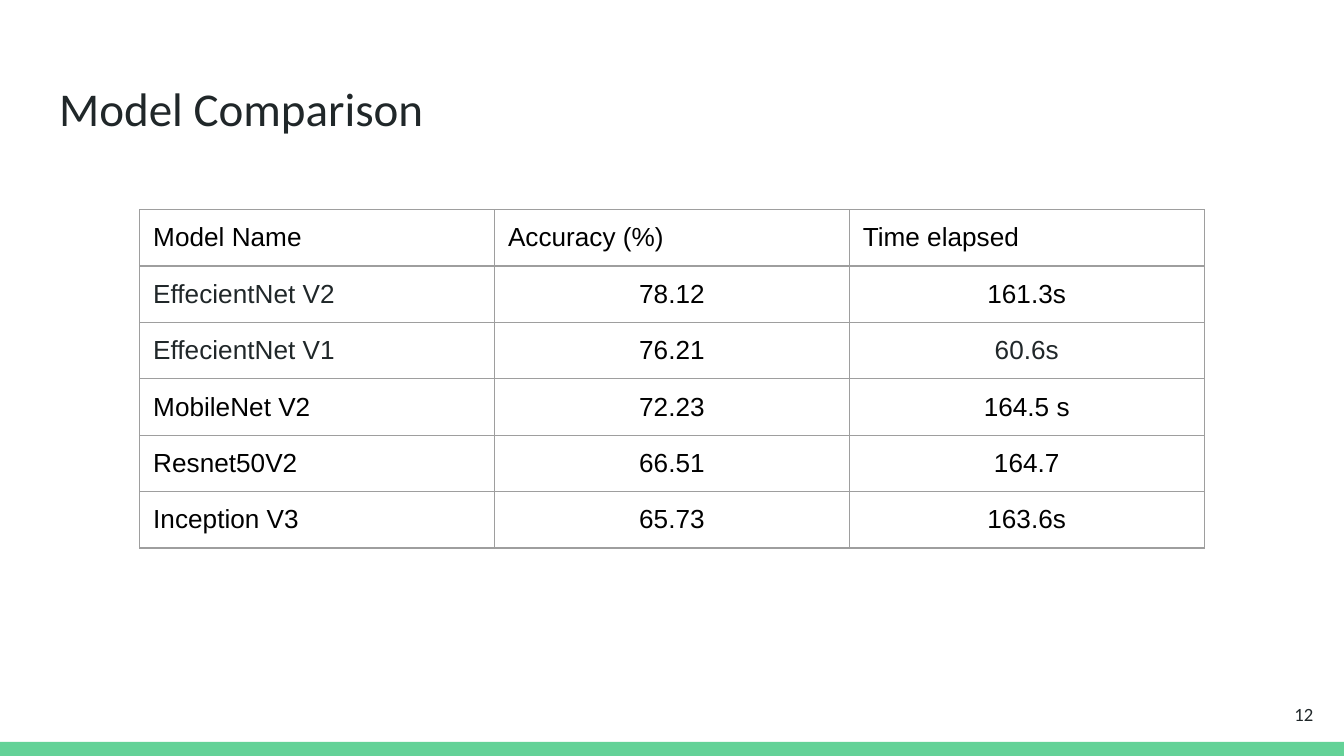
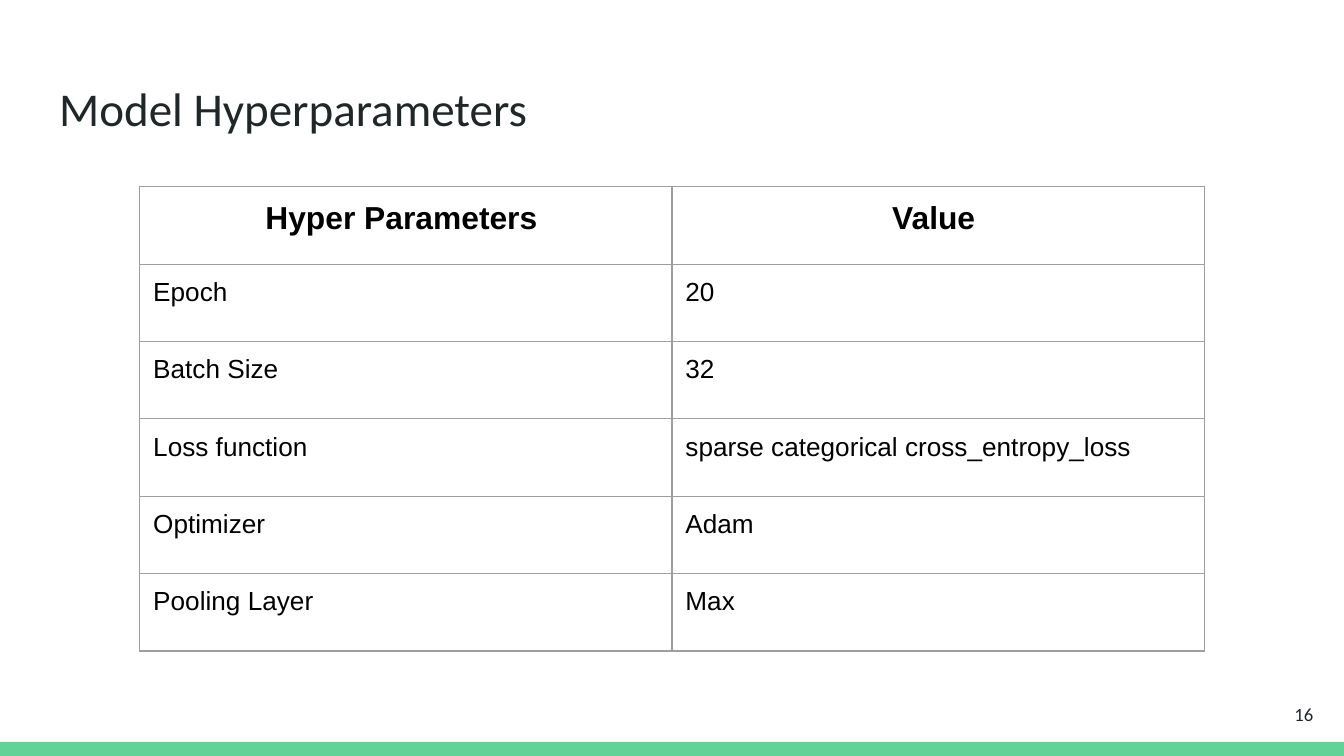
from dataclasses import dataclass

from lxml.etree import SubElement
from pptx import Presentation
from pptx.dml.color import RGBColor as Rgb
from pptx.enum.shapes import MSO_SHAPE as Shape
from pptx.enum.text import MSO_ANCHOR as Anchor, MSO_AUTO_SIZE as Fit, PP_ALIGN as Align
from pptx.oxml.ns import qn
from pptx.util import Inches, Pt


@dataclass(frozen=True)
class Theme:
    ink: str = "202729"
    black: str = "000000"
    green: str = "63D297"
    rule: str = "9E9E9E"
    paper: str = "FFFFFF"
    head: str = "Calibri"
    body: str = "Arial"
    title: float = 25.2
    label: float = 17
    cell: float = 14
    page: float = 10
    line: float = 0.75
    pad: float = 0.1


@dataclass(frozen=True)
class Look:
    size: float = 14
    color: str = Theme.black
    bold: bool = False
    align: Align = Align.LEFT


THEME = Theme()
WIDE, HIGH = Inches(10), Inches(5.625)

# Boxes are left, top, width, height in percent of the slide.
BAND = (0, 98.13, 100, 1.87)
TITLE = (3.4, 8.71, 93.2, 11.2)
PAGE = (92.7, 90.67, 6, 7.64)
SCORES = (10.4, 27.73, 79.2, 44.8)
SETTINGS = (10.4, 24.71, 79.2, 61.4)

MODELS = [
    ("Model Name", "Accuracy (%)", "Time elapsed"),
    ("EffecientNet V2", "78.12", "161.3s"),
    ("EffecientNet V1", "76.21", "60.6s"),
    ("MobileNet V2", "72.23", "164.5 s"),
    ("Resnet50V2", "66.51", "164.7"),
    ("Inception V3", "65.73", "163.6s"),
]
SOFT = {(1, 0), (2, 0), (2, 2)}  # cells set in the softer ink

PARAMS = [
    ("Hyper Parameters ", "Value "),
    ("Epoch", "20"),
    ("Batch Size", "32"),
    ("Loss function", "sparse categorical cross_entropy_loss"),
    ("Optimizer", "Adam"),
    ("Pooling Layer", "Max"),
]


def area(box):
    """Turn a percent box into slide lengths."""
    x, y, w, h = box
    return [int(part * full / 100)
            for part, full in ((x, WIDE), (y, HIGH), (w, WIDE), (h, HIGH))]


def style(para, face, size, color, bold=False, align=Align.LEFT):
    para.alignment = align
    for run in para.runs:
        font = run.font
        font.name, font.size, font.bold = face, Pt(size), bold
        font.color.rgb = Rgb.from_string(color)


def pad(item):
    """Give a text frame or a cell equal margins."""
    item.margin_left = item.margin_right = Inches(THEME.pad)
    item.margin_top = item.margin_bottom = Inches(THEME.pad)


def write(frame, text, size, align, anchor):
    frame.text = text
    frame.word_wrap = True
    frame.auto_size = Fit.NONE
    frame.vertical_anchor = anchor
    pad(frame)
    style(frame.paragraphs[0], THEME.head, size, THEME.ink, align=align)


def add_band(slide, box):
    band = slide.shapes.add_shape(Shape.RECTANGLE, *area(box))
    band.shadow.inherit = False
    band.fill.solid()
    band.fill.fore_color.rgb = Rgb.from_string(THEME.green)
    band.line.fill.background()


def add_title(slide, box, text):
    title = slide.shapes.title
    title.left, title.top, title.width, title.height = area(box)
    write(title.text_frame, text, THEME.title, Align.LEFT, Anchor.TOP)


def add_page(slide, box, number):
    note = slide.shapes.add_textbox(*area(box))
    write(note.text_frame, str(number), THEME.page, Align.RIGHT, Anchor.MIDDLE)


def rule(cell):
    """Draw the four borders, which must come before the cell's fill."""
    props = cell._tc.get_or_add_tcPr()
    for side in ("a:lnL", "a:lnR", "a:lnT", "a:lnB"):
        line = SubElement(props, qn(side), w=str(Pt(THEME.line)))
        fill = SubElement(line, qn("a:solidFill"))
        SubElement(fill, qn("a:srgbClr"), val=THEME.rule)


def add_grid(slide, box, rows, look):
    """Add a ruled table of equal cells; look(row, col) gives each one's text style."""
    x, y, w, h = area(box)
    count, wide = len(rows), len(rows[0])
    table = slide.shapes.add_table(count, wide, x, y, w, h).table
    table.first_row = table.horz_banding = False
    for col in table.columns:
        col.width = w // wide
    for r, row in enumerate(rows):
        table.rows[r].height = h // count
        for c, text in enumerate(row):
            cell = table.cell(r, c)
            cell.text = text
            pad(cell)
            rule(cell)
            cell.fill.background()
            kind = look(r, c)
            style(cell.text_frame.paragraphs[0], THEME.body,
                  kind.size, kind.color, kind.bold, kind.align)


def score_look(row, col):
    return Look(size=THEME.cell,
                color=THEME.ink if (row, col) in SOFT else THEME.black,
                align=Align.CENTER if row and col else Align.LEFT)


def param_look(row, col):
    if row == 0:
        return Look(size=THEME.label, bold=True, align=Align.CENTER)
    return Look(size=THEME.cell)


def add_slide(deck, title, number, box, rows, look):
    slide = deck.slides.add_slide(deck.slide_layouts[5])
    back = slide.background.fill
    back.solid()
    back.fore_color.rgb = Rgb.from_string(THEME.paper)
    add_band(slide, BAND)
    add_title(slide, TITLE, title)
    add_grid(slide, box, rows, look)
    add_page(slide, PAGE, number)


def main():
    deck = Presentation()
    deck.slide_width, deck.slide_height = WIDE, HIGH
    add_slide(deck, "Model Comparison", 12, SCORES, MODELS, score_look)
    add_slide(deck, "Model Hyperparameters", 16, SETTINGS, PARAMS, param_look)
    deck.save("out.pptx")


if __name__ == "__main__":
    main()
